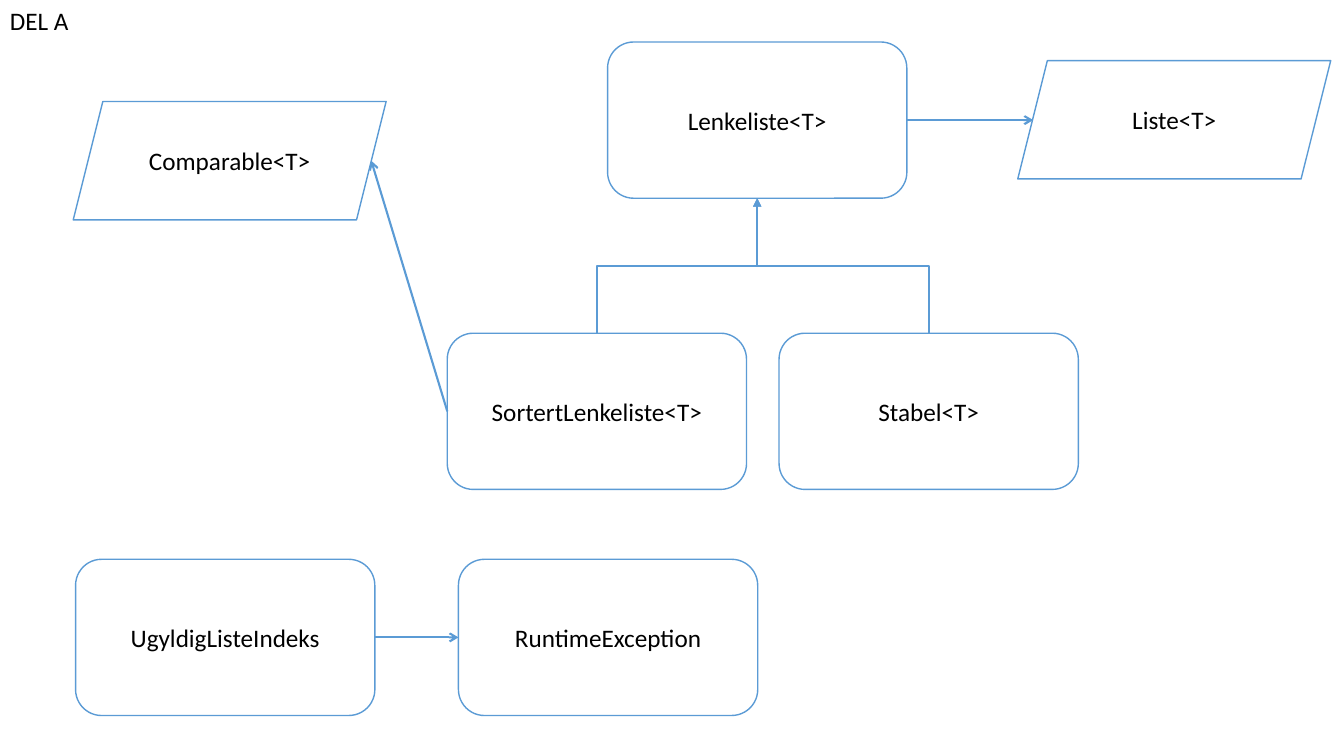
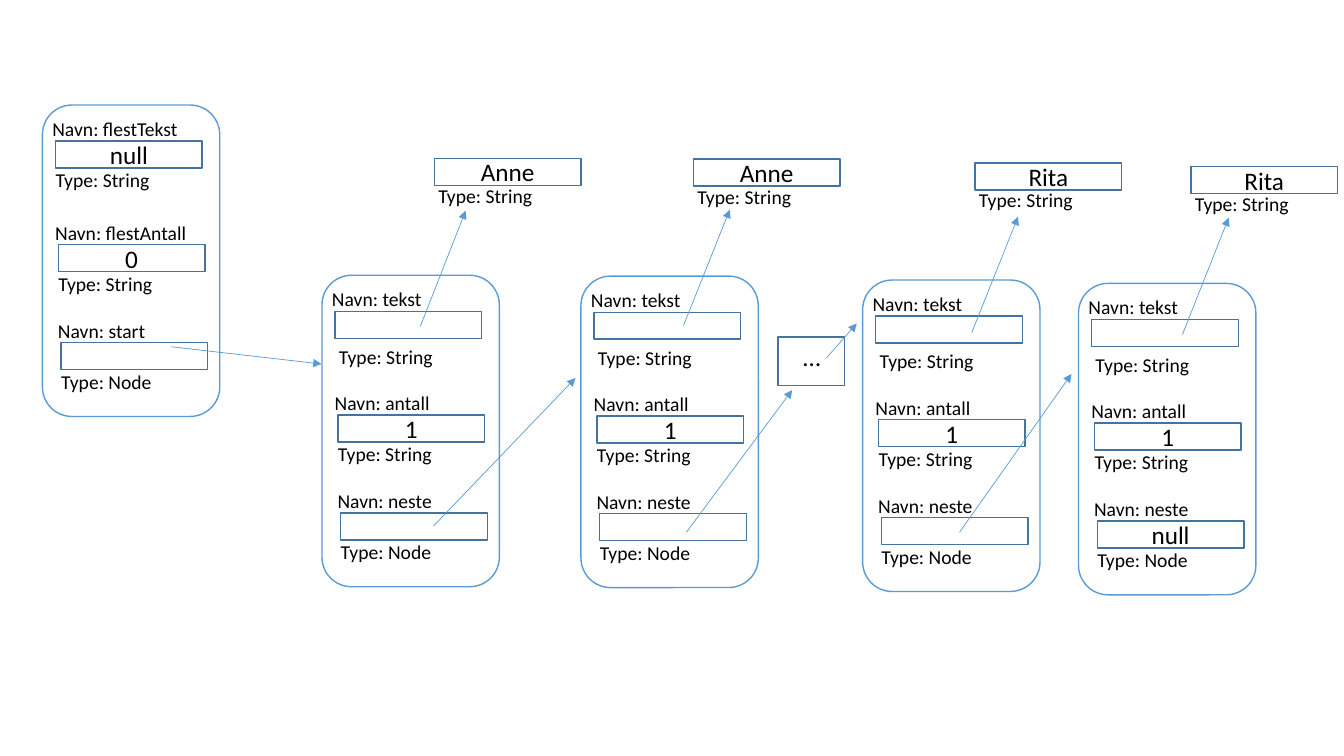
from lxml import etree
from pptx import Presentation
from pptx.dml.color import RGBColor
from pptx.enum import shapes, text
from pptx.oxml import ns
from pptx.util import Pt

BLUE, DARK_BLUE, WHITE, BLACK = "5B9BD5", "43739E", "FFFFFF", "000000"
FONT = "Calibri"
SHAPE, LINE = shapes.MSO_SHAPE, shapes.MSO_CONNECTOR
rgb = RGBColor.from_string


def add_box(s, kind, x, y, w, h, label="", size=18, line=BLUE, fill=None):
    """Add an outlined shape, or a text box when kind is None."""
    at = [Pt(v) for v in (x, y, w, h)]
    if kind is None:
        sp = s.shapes.add_textbox(*at)
        sp.text_frame.auto_size = text.MSO_AUTO_SIZE.SHAPE_TO_FIT_TEXT
    else:
        sp = s.shapes.add_shape(kind, *at)
        sp.shadow.inherit = False
        sp.line.color.rgb = rgb(line)
        sp.line.width = Pt(1)
        if fill:
            sp.fill.solid()
            sp.fill.fore_color.rgb = rgb(fill)
        else:
            sp.fill.background()
    if label:
        tf = sp.text_frame
        tf.word_wrap = True
        tf.text = label
        p = tf.paragraphs[0]
        if kind is not None:
            tf.vertical_anchor = text.MSO_ANCHOR.MIDDLE
            p.alignment = text.PP_ALIGN.CENTER
        font = p.runs[0].font
        font.name, font.size = FONT, Pt(size)
        font.color.rgb = rgb(BLACK)
    return sp


def add_arrow(s, x1, y1, x2, y2, width, head, kind=LINE.STRAIGHT):
    c = s.shapes.add_connector(kind, Pt(x1), Pt(y1), Pt(x2), Pt(y2))
    c.line.color.rgb = rgb(BLUE)
    c.line.width = Pt(width)
    etree.SubElement(c.line._get_or_add_ln(), ns.qn("a:tailEnd"), type=head)
    etree.SubElement(c._element.spPr, ns.qn("a:effectLst"))
    return c


prs = Presentation()
prs.slide_width, prs.slide_height = Pt(960), Pt(540)
blank = prs.slide_layouts[6]

# Slide 1: class hierarchy
s = prs.slides.add_slide(blank)
CLASS_W, CLASS_H = 213.8, 111.6
classes = {}
for name, x, y in [
    ("Lenkeliste<T>", 434, 30),
    ("SortertLenkeliste<T>", 319.5, 238),
    ("Stabel<T>", 556.5, 238),
    ("UgyldigListeIndeks", 54, 399.5),
    ("RuntimeException", 327.5, 399.5),
]:
    classes[name] = add_box(s, SHAPE.ROUNDED_RECTANGLE, x, y, CLASS_W, CLASS_H,
                            name, fill=WHITE)
for name, x, y in [("Liste<T>", 727, 43.3), ("Comparable<T>", 52.3, 72.5)]:
    add_box(s, SHAPE.PARALLELOGRAM, x, y, 223.5, 84.5, name, fill=WHITE)
add_box(s, None, 0, 0.5, 73.5, 29, "DEL A")

# Subclasses: elbows turned a quarter so that they leave upwards
parent = classes["Lenkeliste<T>"]
for name in ("SortertLenkeliste<T>", "Stabel<T>"):
    c = add_arrow(s, 0, 0, 0, 0, 1.5, "triangle", LINE.ELBOW)
    c.begin_connect(classes[name], 0)
    c.end_connect(parent, 2)
    from_right = c.begin_x > c.end_x
    mid_x, mid_y = (c.begin_x + c.end_x) // 2, (c.begin_y + c.end_y) // 2
    c.width, c.height = c.height, c.width
    c.left, c.top = mid_x - c.width // 2, mid_y - c.height // 2
    xfrm = c._element.spPr.find(ns.qn("a:xfrm"))
    xfrm.set("rot", "16200000")
    xfrm.set("flipH", "0")
    xfrm.set("flipV", "1" if from_right else "0")

# Interfaces and the exception's superclass
c = add_arrow(s, 648, 85.8, 738, 85.8, 1.5, "arrow")
c.begin_connect(parent, 3)
c = add_arrow(s, 319.5, 293.8, 265.2, 114.8, 1.5, "arrow")
c.begin_connect(classes["SortertLenkeliste<T>"], 1)
c = add_arrow(s, 268, 455, 327.5, 455, 1.5, "arrow")
c.begin_connect(classes["UgyldigListeIndeks"], 3)
c.end_connect(classes["RuntimeException"], 1)

# Slide 2: linked list of nodes
s = prs.slides.add_slide(blank)
FIELD_W, FIELD_H = 104.7, 19.3
LABEL_W, LABEL_H = 123, 24.2
FIELD_AT = [(0, 5), (2, 79), (4, 149)]  # offsets of the field names in a card
start_fields = [("flestTekst", "null", "String"), ("flestAntall", "0", "String"),
                ("start", "", "Node")]
cards = [(30.3, 75, start_fields, "")]
for x, y, following, value in [(230, 196.6, "", "Anne"), (415, 197.2, "", "Anne"),
                               (616.2, 200, "", "Rita"), (770.4, 202.4, "null", "Rita")]:
    fields = [("tekst", "", "String"), ("antall", "1", "String"),
              ("neste", following, "Node")]
    cards.append((x, y, fields, value))

for x, y, fields, value in cards:
    add_box(s, SHAPE.ROUNDED_RECTANGLE, x, y, 126.7, 222.5)
    for (dx, dy), (name, content, kind) in zip(FIELD_AT, fields):
        fx, fy = x + dx, y + dy
        type_dx, type_dy = (5, 41) if name == "tekst" else (2.3, 36.7)
        add_box(s, SHAPE.RECTANGLE, fx + 9.4, fy + 20.8, FIELD_W, FIELD_H,
                content, line=DARK_BLUE)
        add_box(s, None, fx, fy, LABEL_W, LABEL_H, f"Navn: {name}", 14)
        add_box(s, None, fx + type_dx, fy + type_dy, LABEL_W, LABEL_H,
                f"Type: {kind}", 14)
    # String object that the node's tekst refers to
    if value:
        add_box(s, SHAPE.RECTANGLE, x + 80.3, y - 83.5, FIELD_W, FIELD_H,
                value, line=DARK_BLUE)
        add_box(s, None, x + 76, y - 69, LABEL_W, LABEL_H, "Type: String", 14)

# Nodes left out
add_box(s, SHAPE.RECTANGLE, 555.8, 240.7, 47.5, 34.6, line=DARK_BLUE)
add_box(s, None, 566.6, 240.5, 27, 29, "…")

# References
for ends in [
    (122.4, 247.7, 229.7, 260),
    (309.6, 375.8, 411.1, 270),
    (490.3, 380.2, 565.9, 278.6),
    (590.4, 255.6, 612, 231.1),
    (685.4, 380.2, 765.4, 267.1),
    (300.2, 233.3, 332.6, 150.5),
    (488.2, 232.6, 521.3, 149.8),
    (694.1, 237.6, 727.2, 154.8),
    (844.6, 239, 877.7, 155.5),
]:
    add_arrow(s, *ends, 0.5, "triangle")

prs.save("out.pptx")
